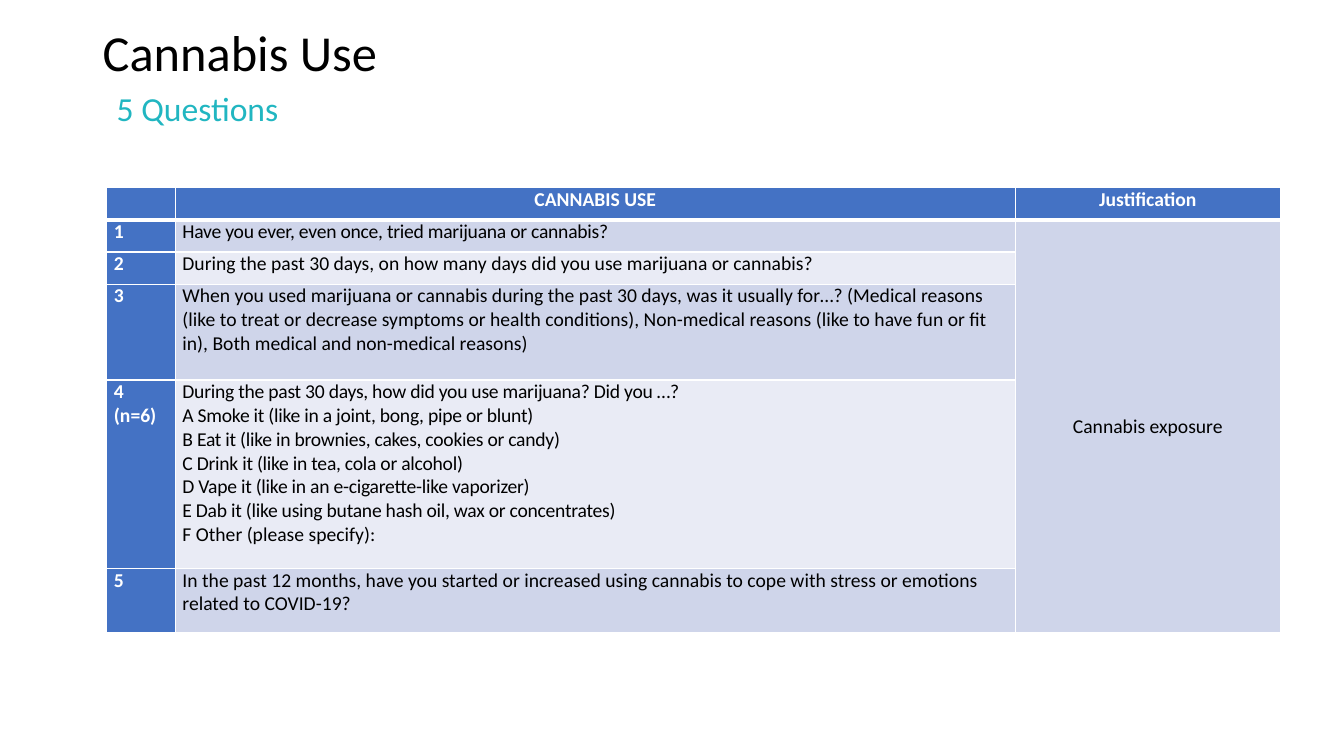
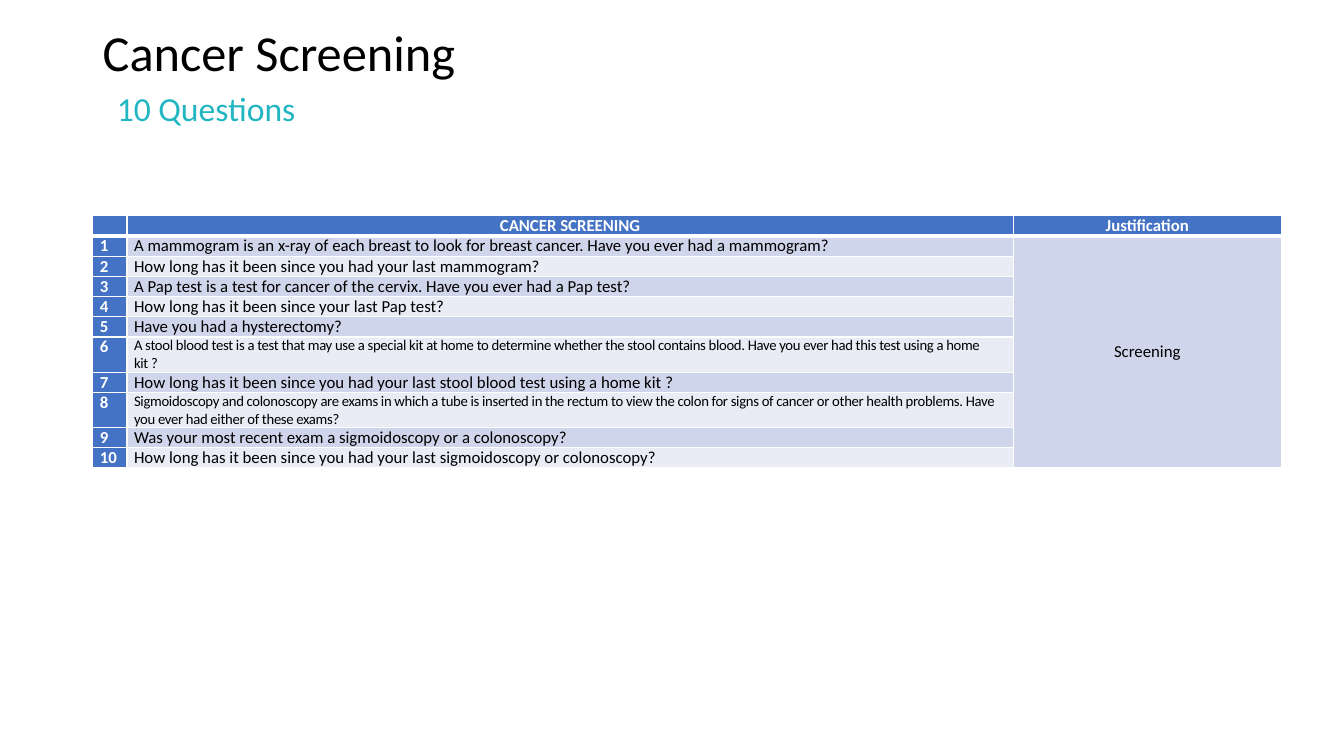
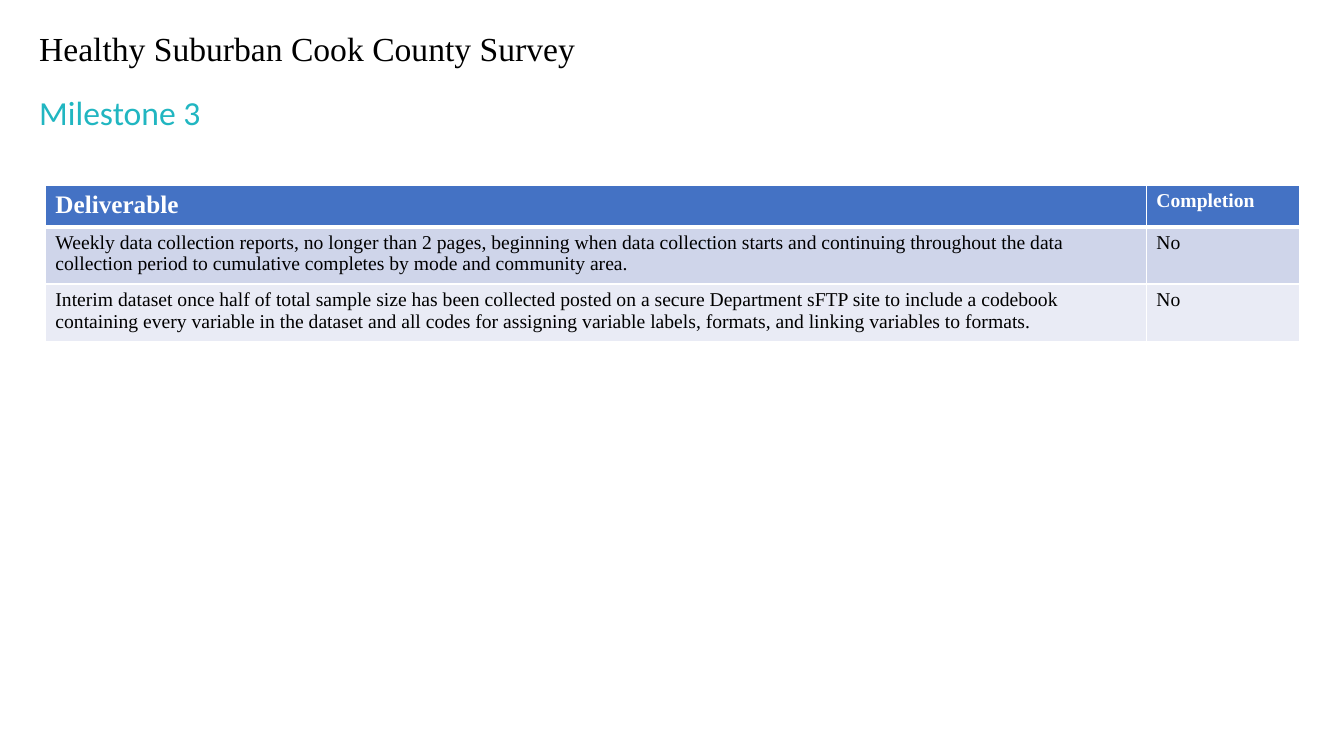
from lxml.etree import SubElement
from pptx import Presentation
from pptx.dml.color import RGBColor
from pptx.enum.text import MSO_ANCHOR as Anchor, MSO_AUTO_SIZE as AutoSize, PP_ALIGN as Align
from pptx.oxml.ns import qn
from pptx.util import Inches, Pt

COLORS = {
    "text": "000000",
    "accent": "21B6C1",
    "header": "4472C4",
    "odd": "CFD5EA",
    "even": "E9EBF5",
    "white": "FFFFFF",
}
SANS, SERIF = "Calibri", "Times New Roman"
TIGHT = {"spacing": -0.2}
SMALL = {"size": 10.5, "spacing": -0.2}

# A cell is a list of paragraphs; a paragraph is a string or a list of (text, style) runs.
QUESTION_SLIDES = [
    {
        "title": ("Cannabis Use", 3.37),
        "subtitle": ("5 Questions", 2),
        "origin": (1.06, 1.86),
        "columns": [0.68, 8.33, 2.63],
        "heights": [0.32, 0.32, 0.32, 0.95, 1.87, 0.64],
        "size": 14,
        "heading": "CANNABIS USE",
        "justification": "Cannabis exposure",
        "counts": {4: "(n=6)"},
        "questions": [
            [[("Have you ever, even once, tried marijuana or cannabis?", TIGHT)]],
            ["During the past 30 days, on how many days did you use marijuana or cannabis?"],
            ["When you used marijuana or cannabis during the past 30 days, was it usually for…? "
             "(Medical reasons (like to treat or decrease symptoms or health conditions), "
             "Non-medical reasons (like to have fun or fit in), Both medical and non-medical reasons)"],
            [[("During the past 30 days, how did you use marijuana? Did you …?", TIGHT)],
             [("A Smoke it (like in a joint, bong, pipe or blunt)", TIGHT)],
             [("B Eat it (like in brownies, cakes, cookies or candy)", TIGHT)],
             [("C Drink it (like in tea, cola or alcohol)", TIGHT)],
             [("D Vape it (like in an e-cigarette-like vaporizer)", TIGHT)],
             [("E Dab it (like using butane hash oil, wax or concentrates)", TIGHT)],
             "F Other (please specify):"],
            ["In the past 12 months, have you started or increased using cannabis to cope with "
             "stress or emotions related to COVID-19?"],
        ],
    },
    {
        "title": ("Cancer Screening", 4.23),
        "subtitle": ("10 Questions", 2.18),
        "origin": (0.92, 2.14),
        "columns": [0.34, 8.79, 2.66],
        "heights": [0.19] * 6 + [0.35, 0.19, 0.35, 0.19, 0.19],
        "size": 12,
        "heading": "CANCER SCREENING",
        "justification": "Screening",
        "counts": {},
        "questions": [
            ["A mammogram is an x-ray of each breast to look for breast cancer. "
             "Have you ever had a mammogram?"],
            ["How long has it been since you had your last mammogram?"],
            ["A Pap test is a test for cancer of the cervix. Have you ever had a Pap test?"],
            ["How long has it been since your last Pap test?"],
            ["Have you had a hysterectomy?"],
            [[("A stool blood test is a test that may use a special kit at home to determine whether "
               "the stool contains blood. Have you ever had this test using a home kit", SMALL),
              (" ", {"size": 9, "spacing": -0.2}), ("?", SMALL)]],
            [[("How long has it been since you had your last stool blood test using a home kit", {}),
              (" ", {"size": 9}), ("?", {})]],
            [[("Sigmoidoscopy and colonoscopy are exams in which a tube is inserted in the rectum to "
               "view the colon for signs of cancer or other health problems. "
               "Have you ever had either of these exams?", SMALL)]],
            ["Was your most recent exam a sigmoidoscopy or a colonoscopy?"],
            ["How long has it been since you had your last sigmoidoscopy or colonoscopy?"],
        ],
    },
]

MILESTONE = {
    "title": "Healthy Suburban Cook County Survey",
    "subtitle": "Milestone 3",
    "headings": [("Deliverable", 18), ("Completion", 14)],
    "deliverables": [
        ("Weekly data collection reports, no longer than 2 pages, beginning when data collection "
         "starts and continuing throughout the data collection period to cumulative completes by "
         "mode and community area.", "No"),
        ("Interim dataset once half of total sample size has been collected posted on a secure "
         "Department sFTP site to include a codebook containing every variable in the dataset and "
         "all codes for assigning variable labels, formats, and linking variables to formats.", "No"),
    ],
}


def rgb(name):
    return RGBColor.from_string(COLORS[name])


def add_run(paragraph, text, size, font, color, bold=False, spacing=0):
    run = paragraph.add_run()
    run.text = text
    run.font.size = Pt(size)
    run.font.name = font
    run.font.bold = bold
    run.font.color.rgb = rgb(color)
    if spacing:
        run._r.get_or_add_rPr().set("spc", str(round(spacing * 100)))


def write(frame, paragraphs, align=Align.LEFT, line_spacing=None, **style):
    for index, content in enumerate(paragraphs):
        paragraph = frame.add_paragraph() if index else frame.paragraphs[0]
        paragraph.alignment = align
        if line_spacing:
            paragraph.line_spacing = line_spacing
        runs = [(content, {})] if isinstance(content, str) else content
        for text, override in runs:
            add_run(paragraph, text, **{**style, **override})


def add_heading(slide, text, left, top, width, height, size, font=SANS, color="text",
                anchor=Anchor.MIDDLE):
    box = slide.shapes.add_textbox(Inches(left), Inches(top), Inches(width), Inches(height))
    frame = box.text_frame
    frame.word_wrap = False
    frame.auto_size = AutoSize.SHAPE_TO_FIT_TEXT
    frame.vertical_anchor = anchor
    write(frame, [text], line_spacing=0.9, size=size, font=font, color=color)


def add_subtitle(slide, text, left, top, width):
    add_heading(slide, text, left, top, width, 0.46, 24, color="accent", anchor=Anchor.TOP)


def add_grid(slide, origin, columns, heights):
    """Add an empty table with white rules, a blue header row and banded body rows."""
    left, top = origin
    table = slide.shapes.add_table(len(heights), len(columns), Inches(left), Inches(top),
                                   Inches(sum(columns)), Inches(sum(heights))).table
    for column, width in zip(table.columns, columns):
        column.width = Inches(width)
    for index, (row, height) in enumerate(zip(table.rows, heights)):
        row.height = Inches(height)
        band = "odd" if index % 2 else "even"
        for cell in row.cells:
            add_borders(cell, {"lnL": 1, "lnR": 1, "lnT": 3 if index == 1 else 1,
                               "lnB": 1 if index else 3})
            paint(cell, band if index else "header")
    return table


def add_borders(cell, widths):
    properties = cell._tc.get_or_add_tcPr()
    for side, width in widths.items():
        line = SubElement(properties, qn(f"a:{side}"), w=str(Pt(width)))
        fill = SubElement(line, qn("a:solidFill"))
        SubElement(fill, qn("a:srgbClr"), val=COLORS["white"])


def paint(cell, color):
    cell.fill.solid()
    cell.fill.fore_color.rgb = rgb(color)


def add_question_slide(slide, content):
    add_heading(slide, content["title"][0], 0.92, 0.22, content["title"][1], 0.65, 36)
    add_subtitle(slide, content["subtitle"][0], 1.06, 0.87, content["subtitle"][1])
    table = add_grid(slide, content["origin"], content["columns"], content["heights"])
    table.first_col = True
    size = content["size"]
    for cell in table.iter_cells():
        cell.margin_left = cell.margin_right = Inches(0.07)
        cell.margin_top = cell.margin_bottom = 0
        # Keeps empty cells from stretching their rows.
        SubElement(cell.text_frame.paragraphs[0]._p, qn("a:endParaRPr"), sz=str(size * 100))

    label = {"size": size, "font": SANS, "color": "white", "bold": True}
    body = {"size": size, "font": SANS, "color": "text"}
    for column, heading in enumerate([content["heading"], "Justification"], start=1):
        write(table.cell(0, column).text_frame, [heading], Align.CENTER, **label)
    for number, question in enumerate(content["questions"], start=1):
        number_cell = table.cell(number, 0)
        paint(number_cell, "header")
        lines = [str(number)]
        if number in content["counts"]:
            lines.append(content["counts"][number])
        write(number_cell.text_frame, lines, **label)
        write(table.cell(number, 1).text_frame, question, **body)

    reason = table.cell(1, 2)
    reason.merge(table.cell(len(content["questions"]), 2))
    reason.vertical_anchor = Anchor.MIDDLE
    write(reason.text_frame, [content["justification"]], Align.CENTER, **body)


def add_milestone_slide(slide, content):
    add_heading(slide, content["title"], 0.29, 0.27, 5.57, 0.46, 24, font=SERIF)
    table = add_grid(slide, (0.45, 1.84), [10.92, 1.52], [0.41, 0.52, 0.52])
    for column, (heading, size) in enumerate(content["headings"]):
        write(table.cell(0, column).text_frame, [heading],
              size=size, font=SERIF, color="white", bold=True)
    for row, values in enumerate(content["deliverables"], start=1):
        for column, value in enumerate(values):
            write(table.cell(row, column).text_frame, [value], size=14, font=SERIF, color="text")
    add_subtitle(slide, content["subtitle"], 0.29, 0.91, 1.82)


def main():
    presentation = Presentation()
    presentation.slide_width = Inches(13.33)
    presentation.slide_height = Inches(7.5)
    blank = presentation.slide_layouts[6]
    for content in QUESTION_SLIDES:
        add_question_slide(presentation.slides.add_slide(blank), content)
    add_milestone_slide(presentation.slides.add_slide(blank), MILESTONE)
    presentation.save("out.pptx")


if __name__ == "__main__":
    main()
